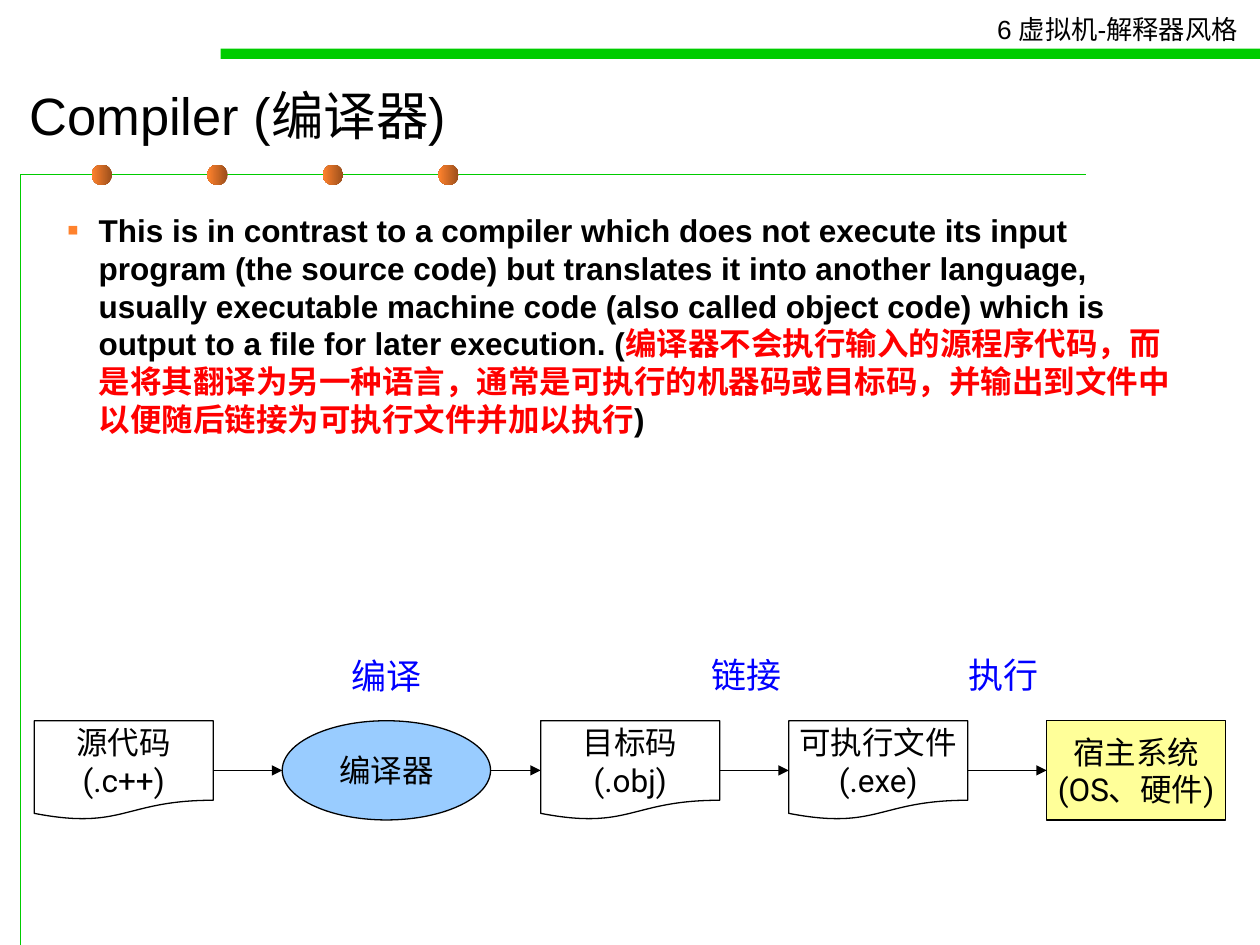
import pptx
import pptx.dml.color
import pptx.enum.shapes
import pptx.enum.text
import pptx.oxml
import pptx.oxml.ns
import pptx.util
from pptx.util import Cm

RGBColor = pptx.dml.color.RGBColor
Shape = pptx.enum.shapes.MSO_SHAPE
Align = pptx.enum.text.PP_ALIGN
Anchor = pptx.enum.text.MSO_ANCHOR
AutoSize = pptx.enum.text.MSO_AUTO_SIZE

BLACK = RGBColor(0x00, 0x00, 0x00)
WHITE = RGBColor(0xFF, 0xFF, 0xFF)
GREEN = RGBColor(0x00, 0xCC, 0x00)
BROWN = RGBColor(0x9A, 0x4E, 0x1B)
ORANGE = RGBColor(0xFF, 0x82, 0x2D)
RED = RGBColor(0xFF, 0x00, 0x00)
BLUE = RGBColor(0x00, 0x00, 0xFF)
SKY = RGBColor(0x99, 0xCC, 0xFF)
YELLOW = RGBColor(0xFF, 0xFF, 0x99)

THIN = pptx.util.Pt(0.75)
FLOW_TOP, FLOW_HEIGHT = 14.53, 2.0
STEPS = [
    (Shape.FLOWCHART_DOCUMENT, 0.69, 3.61, WHITE, ["源代码", "(.c++)"]),
    (Shape.OVAL, 5.69, 4.2, SKY, ["编译器"]),
    (Shape.FLOWCHART_DOCUMENT, 10.9, 3.61, WHITE, ["目标码", "(.obj)"]),
    (Shape.FLOWCHART_DOCUMENT, 15.9, 3.61, WHITE, ["可执行文件", "(.exe)"]),
    (Shape.RECTANGLE, 21.1, 3.61, YELLOW, ["宿主系统", "(OS、硬件)"]),
]
STAGES = [("编译", 6.84, 13.06), ("链接", 14.1, 13.04), ("执行", 19.28, 13.04)]
BODY_ENGLISH = (
    "This is in contrast to a compiler which does not execute its input program "
    "(the source code) but translates it into another language, usually executable "
    "machine code (also called object code) which is output to a file for later "
    "execution. ("
)
BODY_CHINESE = (
    "编译器不会执行输入的源程序代码，而是将其翻译为另一种语言，"
    "通常是可执行的机器码或目标码，并输出到文件中以便随后链接为可执行文件并加以执行"
)


def write(para, text, size=18, name="Arial", color=BLACK, bold=False):
    """Append one formatted span of text to a paragraph."""
    span = para.add_run()
    span.text = text
    span.font.size = pptx.util.Pt(size)
    span.font.name = name
    span.font.color.rgb = color
    span.font.bold = bold


def add_box(page, left, top, width, height, wrap=True):
    """Add a text box and return its text frame."""
    frame = page.shapes.add_textbox(Cm(left), Cm(top), Cm(width), Cm(height)).text_frame
    frame.word_wrap = wrap
    frame.auto_size = AutoSize.NONE if wrap else AutoSize.SHAPE_TO_FIT_TEXT
    return frame


def add_plain(page, kind, left, top, width, height, color=None):
    """Add a preset shape without line or shadow."""
    shape = page.shapes.add_shape(kind, Cm(left), Cm(top), Cm(width), Cm(height))
    shape.shadow.inherit = False
    shape.line.fill.background()
    if color is not None:
        shape.fill.solid()
        shape.fill.fore_color.rgb = color
    return shape


def add_dot(page, left):
    """Add one shaded dot on the frame line."""
    dot = add_plain(page, Shape.OVAL, left, 3.32, 0.41, 0.41)
    dot.fill.gradient()
    dot.fill.gradient_angle = 180
    for stop, position, color in zip(dot.fill.gradient_stops, (0, 1), (BROWN, ORANGE)):
        stop.position = position
        stop.color.rgb = color


def add_decoration(page):
    """Draw the corner line, its dots and the header bar."""
    builder = page.shapes.build_freeform(Cm(0.42), Cm(19.05))
    builder.add_line_segments([(Cm(0.42), Cm(3.52)), (Cm(21.9), Cm(3.52))], close=False)
    corner = builder.convert_to_shape()
    corner.shadow.inherit = False
    corner.fill.background()
    corner.line.color.rgb = GREEN
    corner.line.width = THIN
    for index in range(4):
        add_dot(page, 1.85 + 2.33 * index)
    add_plain(page, Shape.RECTANGLE, 4.45, 0.98, 20.95, 0.21, GREEN)


def add_body(page):
    """Add the bulleted paragraph."""
    para = add_box(page, 1.1, 4.13, 22.81, 7.95).paragraphs[0]
    props = para._p.get_or_add_pPr()
    props.set("marL", str(Cm(0.64)))
    props.set("indent", str(Cm(-0.64)))
    namespace = pptx.oxml.ns.nsdecls("a")
    for markup in (
        f'<a:buClr {namespace}><a:srgbClr val="{ORANGE}"/></a:buClr>',
        f'<a:buSzPct {namespace} val="110000"/>',
        f'<a:buFont {namespace} typeface="Arial"/>',
        f'<a:buChar {namespace} char="▪"/>',
    ):
        props.append(pptx.oxml.parse_xml(markup))
    para.space_after = pptx.util.Pt(3.4)
    write(para, BODY_ENGLISH, bold=True)
    write(para, BODY_CHINESE, name="Times New Roman", color=RED, bold=True)
    write(para, ")", bold=True)


def add_step(page, kind, left, width, color, lines):
    """Add one step of the tool chain."""
    step = add_plain(page, kind, left, FLOW_TOP, width, FLOW_HEIGHT, color)
    step.line.color.rgb = BLACK
    step.line.width = THIN
    frame = step.text_frame
    frame.word_wrap = False
    frame.vertical_anchor = Anchor.MIDDLE
    for index, line in enumerate(lines):
        para = frame.add_paragraph() if index else frame.paragraphs[0]
        para.alignment = Align.CENTER
        write(para, line, name="Roboto")
    return step


def add_arrow(page, source, target):
    """Draw an arrow between two steps, joined wherever a side has a middle site."""
    middle = source.top + source.height // 2
    arrow = page.shapes.add_connector(
        pptx.enum.shapes.MSO_CONNECTOR.STRAIGHT,
        source.left + source.width, middle, target.left, middle,
    )
    if source.auto_shape_type != Shape.OVAL:
        arrow.begin_connect(source, 3)
    if target.auto_shape_type != Shape.OVAL:
        arrow.end_connect(target, 1)
    arrow.line.color.rgb = BLACK
    arrow.line.width = THIN
    namespace = pptx.oxml.ns.nsdecls("a")
    arrow.line._get_or_add_ln().append(
        pptx.oxml.parse_xml(f'<a:tailEnd {namespace} type="triangle"/>'))
    arrow._element.spPr.append(pptx.oxml.parse_xml(f"<a:effectLst {namespace}/>"))


def main():
    """Build the compiler slide and save it."""
    deck = pptx.Presentation()
    deck.slide_width, deck.slide_height = Cm(25.4), Cm(19.05)
    page = deck.slides.add_slide(deck.slide_layouts[6])
    add_decoration(page)
    header = add_box(page, 19.85, 0.15, 5.74, 0.89, wrap=False)
    write(header.paragraphs[0], "6 虚拟机-解释器风格", size=15)
    title = add_box(page, 0.34, 1.4, 23.6, 1.8)
    title.vertical_anchor = Anchor.MIDDLE
    write(title.paragraphs[0], "Compiler (编译器)", size=30)
    add_body(page)
    steps = [add_step(page, *step) for step in STEPS]
    for source, target in zip(steps, steps[1:]):
        add_arrow(page, source, target)
    for text, left, top in STAGES:
        label = add_box(page, left, top, 1.96, 1.12, wrap=False)
        write(label.paragraphs[0], text, size=20, name="Roboto", color=BLUE)
    deck.save("out.pptx")


if __name__ == "__main__":
    main()
